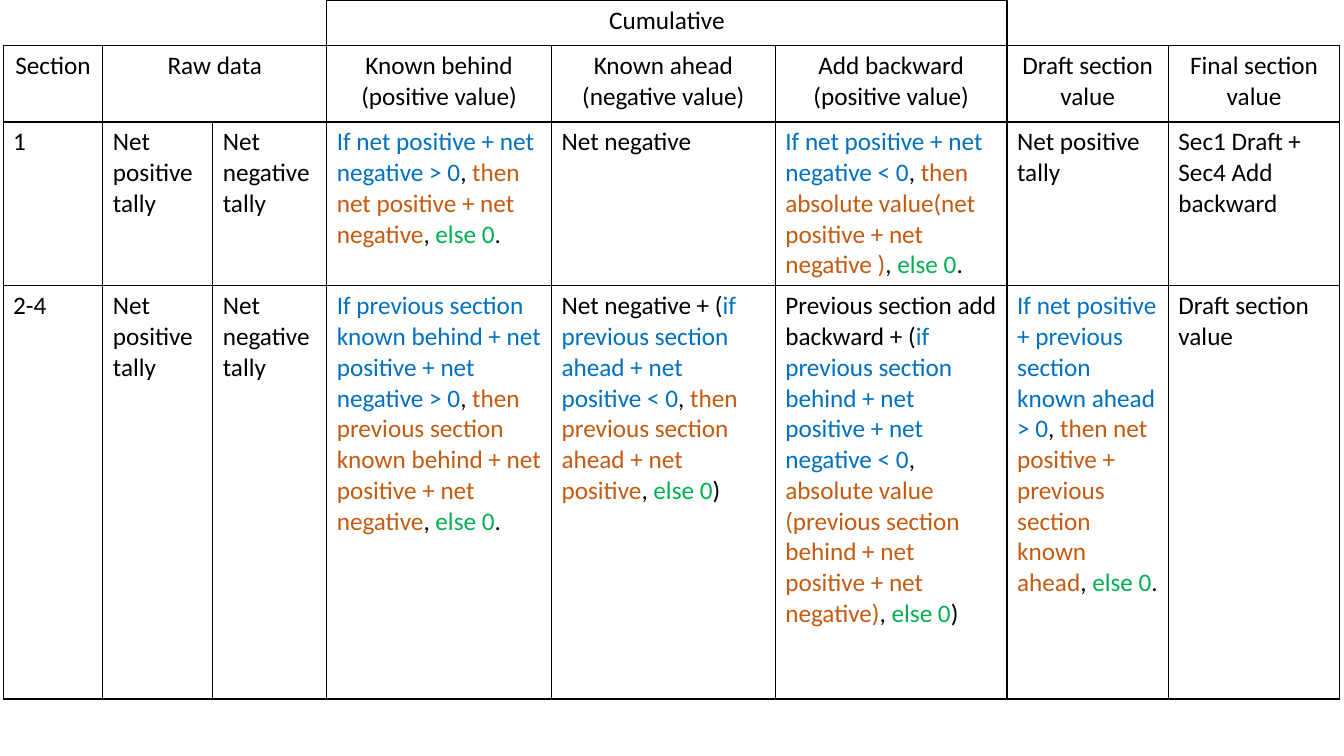
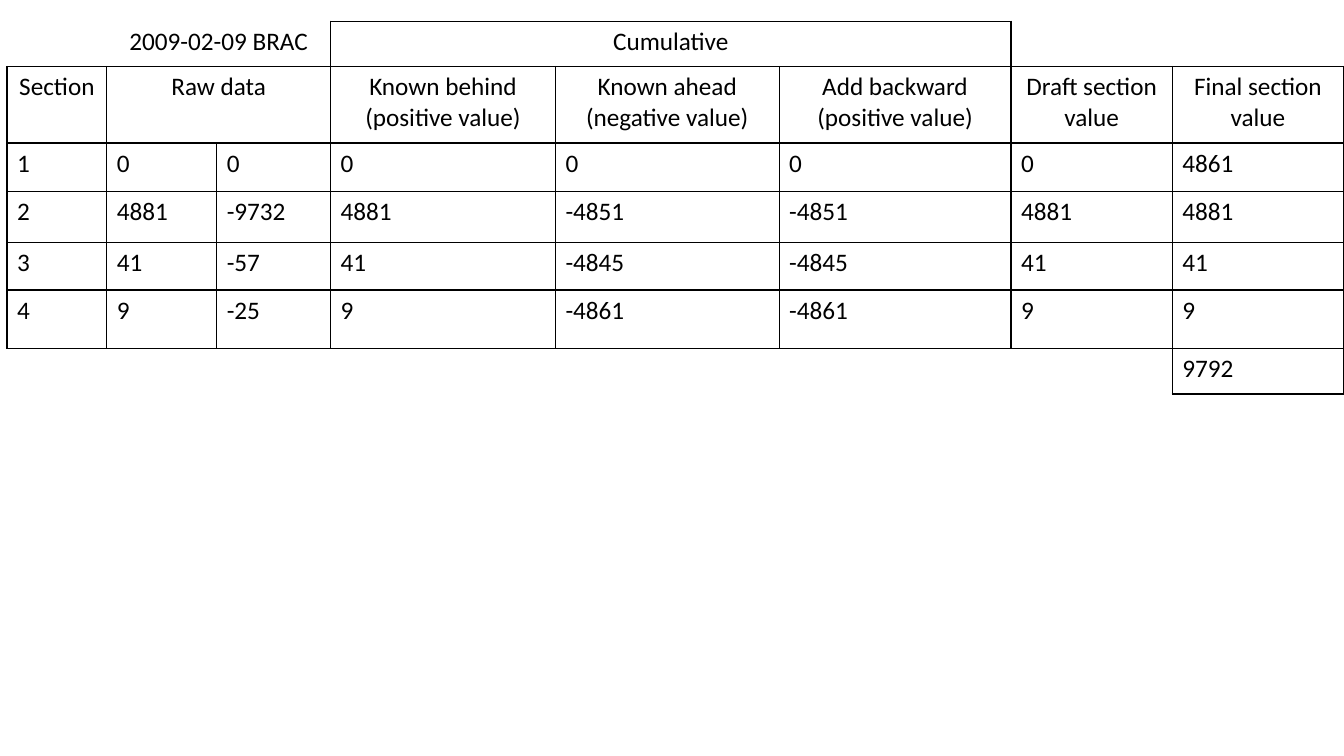
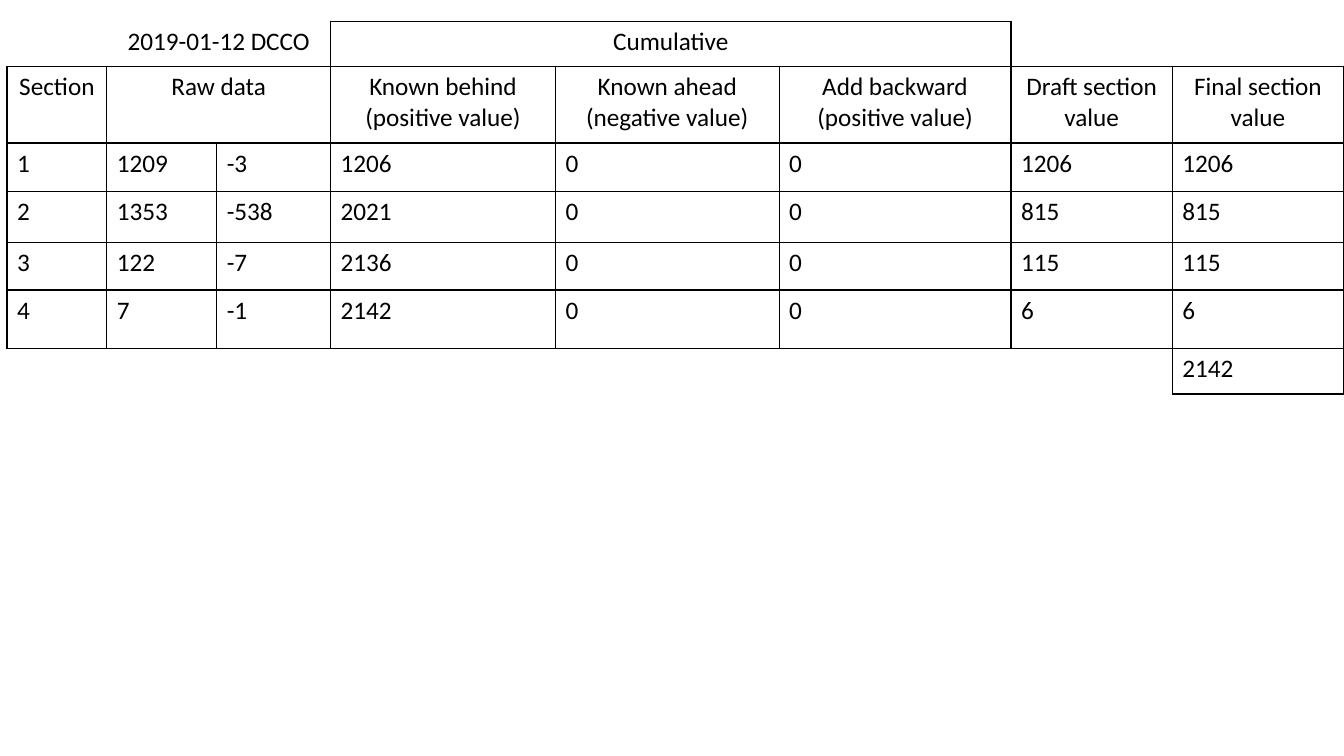
import pptx
import pptx.util
import pptx.dml.color
import pptx.enum.text
import pptx.oxml.ns
from lxml import etree

Pt = pptx.util.Pt

COLORS = {"text": "000000", "border": "000000",
          "if": "0070C0", "then": "C55A11", "else": "00B050"}
FONT = "Calibri"
COL_WIDTHS = [71.3, 78.5, 81.4, 160.6, 159.8, 165.6, 115.2, 122.4]
FORMULA_ROWS = [32.4, 54.7, 103, 295.2]
RESULT_ROWS = [32.4, 54.7, 34.4, 36.7, 33.9, 41.9, 32.4]
SPANS = {(0, 1): 2, (0, 3): 3, (1, 1): 2}  # (row, column): columns joined
HEADINGS = ["Section", "Raw data", "", "Known behind (positive value)",
            "Known ahead (negative value)", "Add backward (positive value)",
            "Draft section value", "Final section value"]


def header_rows(title=""):
    """Return the two heading rows, with an optional title over the raw data."""
    return [["", title, "", "Cumulative", "", "", "", ""], HEADINGS]


def rule(condition, result, lead="", end="."):
    """Return the coloured runs of an if / then / else formula."""
    runs = [(condition, "if"), (", ", "text"), (result, "then"),
            (", ", "text"), ("else 0", "else"), (end, "text")]
    return [(lead, "text")] + runs if lead else runs


def write_cell(cell, content, centered):
    """Write plain text or coloured runs into a cell."""
    p = cell.text_frame.paragraphs[0]
    p.font.name, p.font.size = FONT, Pt(18)
    if centered:
        p.alignment = pptx.enum.text.PP_ALIGN.CENTER
    runs = [(content, "text")] if isinstance(content, str) else content
    for text, color in runs:
        if text:
            r = p.add_run()
            r.text = text
            r.font.color.rgb = pptx.dml.color.RGBColor.from_string(COLORS[color])


def set_borders(cell, sides):
    """Draw or clear each side of a cell; sides maps L, R, T, B to a bool."""
    qn = pptx.oxml.ns.qn
    tcPr = cell._tc.get_or_add_tcPr()
    for side, drawn in sides.items():
        ln = etree.SubElement(tcPr, qn("a:ln" + side), w=str(Pt(1)))
        if drawn:
            fill = etree.SubElement(ln, qn("a:solidFill"))
            etree.SubElement(fill, qn("a:srgbClr"), val=COLORS["border"])
        else:
            etree.SubElement(ln, qn("a:noFill"))


def is_boxed(rows, r, c):
    """Tell whether the cell at r, c has a frame of its own."""
    if not (0 <= r < len(rows) and 0 <= c < len(COL_WIDTHS)):
        return False
    if r == 0:
        return 3 <= c <= 5
    return r == 1 or rows[r][c] != ""


def cell_sides(rows, r, c):
    """Return the sides to draw: those that touch any framed cell."""
    first, last = c, c
    for (row, col), span in SPANS.items():
        if row == r and col <= c < col + span:
            first, last = col, col + span - 1
    neighbours = {"L": (r, first - 1), "R": (r, last + 1),
                  "T": (r - 1, c), "B": (r + 1, c)}
    return {side: is_boxed(rows, r, c) or is_boxed(rows, *place)
            for side, place in neighbours.items()}


def add_section_table(prs, left, top, heights, rows):
    """Add a slide that holds one table of section values."""
    s = prs.slides.add_slide(prs.slide_layouts[6])
    table = s.shapes.add_table(len(rows), len(COL_WIDTHS), Pt(left), Pt(top),
                               Pt(sum(COL_WIDTHS)), Pt(sum(heights))).table
    table.first_row = table.horz_banding = False
    for column, width in zip(table.columns, COL_WIDTHS):
        column.width = Pt(width)
    for row, height in zip(table.rows, heights):
        row.height = Pt(height)
    for (r, c), span in SPANS.items():
        table.cell(r, c).merge(table.cell(r, c + span - 1))
    for r, row in enumerate(rows):
        for c, content in enumerate(row):
            cell = table.cell(r, c)
            write_cell(cell, content, centered=r < 2)
            set_borders(cell, cell_sides(rows, r, c))
            cell.fill.background()


def add_formula_slide(prs):
    """Add the slide that explains how each value is worked out."""
    tallies = ["Net positive tally", "Net negative tally"]
    section_1 = ["1", *tallies,
                 rule("If net positive + net negative > 0",
                      "then net positive + net negative"),
                 "Net negative",
                 rule("If net positive + net negative < 0",
                      "then absolute value(net positive + net negative )"),
                 "Net positive tally", "Sec1 Draft + Sec4 Add backward"]
    later_sections = [
        "2-4", *tallies,
        rule("If previous section known behind + net positive + net negative > 0",
             "then previous section known behind + net positive + net negative"),
        rule("if previous section ahead + net positive < 0",
             "then previous section ahead + net positive",
             lead="Net negative + (", end=")"),
        rule("if previous section behind + net positive + net negative < 0",
             "absolute value (previous section behind + net positive + net negative)",
             lead="Previous section add backward + (", end=") "),
        rule("If net positive + previous section known ahead > 0",
             "then net positive + previous section known ahead"),
        "Draft section value"]
    add_section_table(prs, 2.2, 0, FORMULA_ROWS,
                      header_rows() + [section_1, later_sections])


def add_result_slide(prs, title, values, total):
    """Add a slide with the values of four sections and their total."""
    sections = [[str(v) for v in (number, *row)]
                for number, row in enumerate(values, 1)]
    total_row = [""] * (len(COL_WIDTHS) - 1) + [str(total)]
    add_section_table(prs, 5, 15.1, RESULT_ROWS,
                      header_rows(title) + sections + [total_row])


def main():
    """Build the presentation."""
    prs = pptx.Presentation()
    prs.slide_width, prs.slide_height = Pt(960), Pt(540)
    add_formula_slide(prs)
    add_result_slide(prs, "2009-02-09 BRAC", [
        (0, 0, 0, 0, 0, 0, 4861),
        (4881, -9732, 4881, -4851, -4851, 4881, 4881),
        (41, -57, 41, -4845, -4845, 41, 41),
        (9, -25, 9, -4861, -4861, 9, 9)], 9792)
    add_result_slide(prs, "2019-01-12 DCCO", [
        (1209, -3, 1206, 0, 0, 1206, 1206),
        (1353, -538, 2021, 0, 0, 815, 815),
        (122, -7, 2136, 0, 0, 115, 115),
        (7, -1, 2142, 0, 0, 6, 6)], 2142)
    prs.save("out.pptx")


main()
